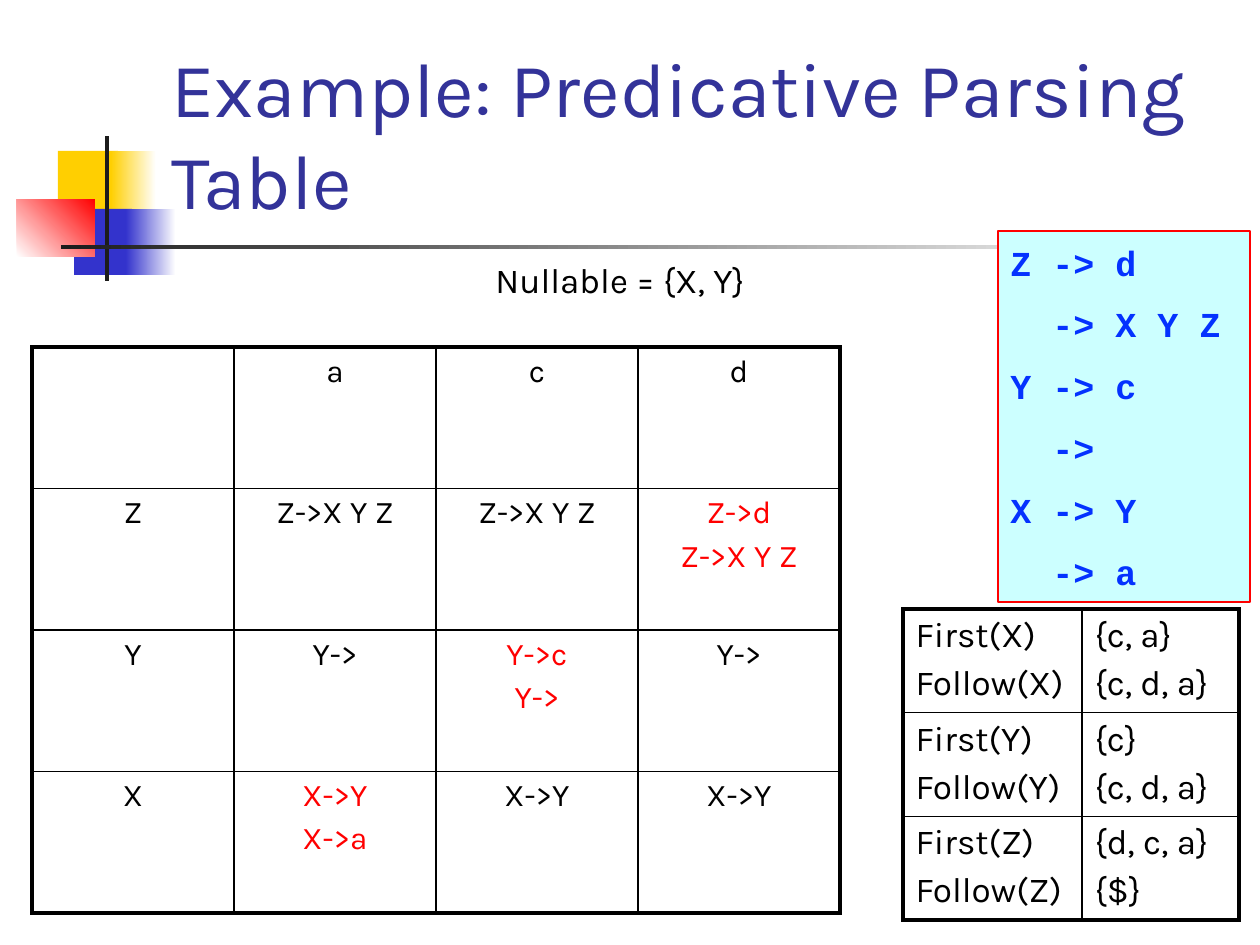
from lxml import etree
from pptx import Presentation
from pptx.dml.color import RGBColor
from pptx.enum.shapes import MSO_SHAPE
from pptx.enum.text import MSO_ANCHOR, PP_ALIGN
from pptx.oxml.ns import qn
from pptx.util import Pt

RECTANGLE = MSO_SHAPE.RECTANGLE
TOP, MIDDLE, BOTTOM = MSO_ANCHOR.TOP, MSO_ANCHOR.MIDDLE, MSO_ANCHOR.BOTTOM
LEFT, CENTER = PP_ALIGN.LEFT, PP_ALIGN.CENTER
EMU_PER_PX = 914400 / 126
THIN, THICK = Pt(1), Pt(2.25)
COLORS = {
    "white": "FFFFFF", "black": "000000", "charcoal": "1C1C1C",
    "yellow": "FFCF01", "blue": "3333CC", "red": "FF0000",
    "title": "333399", "code": "0432FF", "code_back": "CCFFFF",
}


def px(*lengths):
    """Turn px lengths into EMU."""
    return [round(length * EMU_PER_PX) for length in lengths]


def write(frame, text, size=20, color="black", font="Karla", bold=False,
          align=LEFT, gap=0, anchor=TOP):
    """Fill a text frame, one paragraph a line, with gap points between them."""
    frame.word_wrap = True
    frame.vertical_anchor = anchor
    for index, line in enumerate(text.split("\n")):
        paragraph = frame.add_paragraph() if index else frame.paragraphs[0]
        paragraph.alignment = align
        paragraph.space_before = Pt(gap if index else 0)
        run = paragraph.add_run()
        run.text = line
        run.font.name = font
        run.font.size = Pt(size)
        run.font.bold = bold
        run.font.color.rgb = RGBColor.from_string(COLORS[color])


prs = Presentation()
prs.slide_width, prs.slide_height = px(1260, 945)
slide = prs.slides.add_slide(prs.slide_layouts[6])
shapes = slide.shapes

# Corner ornament: box, start colour, end colour (None for solid), angle
ornament = [
    ((58, 151, 60, 66), "yellow", None, 0),
    ((111, 151, 45, 66), "yellow", "white", 0),
    ((74, 209, 58, 66), "blue", None, 0),
    ((126, 209, 50, 66), "blue", "white", 0),
    ((17, 199, 78, 58), "white", "red", 45),
    ((105, 136, 4, 145), "charcoal", None, 0),
    ((61, 245, 1134, 4), "charcoal", "white", 0),
]
for box, start, end, angle in ornament:
    block = shapes.add_shape(RECTANGLE, *px(*box))
    block.shadow.inherit = False
    block.line.fill.background()
    if end:
        block.fill.gradient()
        block.fill.gradient_angle = angle
        for stop, color in zip(block.fill.gradient_stops, (start, end)):
            stop.color.rgb = RGBColor.from_string(COLORS[color])
    else:
        block.fill.solid()
        block.fill.fore_color.rgb = RGBColor.from_string(COLORS[start])

title = shapes.add_textbox(*px(159, 29, 1074, 202))
write(title.text_frame, "Example: Predicative Parsing Table", size=44,
      color="title", anchor=BOTTOM)

grammar = shapes.add_shape(RECTANGLE, *px(998, 231, 252, 371))
grammar.shadow.inherit = False
grammar.fill.solid()
grammar.fill.fore_color.rgb = RGBColor.from_string(COLORS["code_back"])
grammar.line.color.rgb = RGBColor.from_string(COLORS["red"])
grammar.line.width = Pt(0.75)
write(grammar.text_frame, "Z -> d\n  -> X Y Z\nY -> c\n  ->\nX -> Y\n  -> a",
      color="code", font="Courier New", bold=True, gap=11.3, anchor=MIDDLE)

nullable = shapes.add_textbox(*px(483, 252, 483, 54))
write(nullable.text_frame, "Nullable = {X, Y}")

first_follow = [
    ["First(X)\nFollow(X)", "{c, a}\n{c, d, a}"],
    ["First(Y)\nFollow(Y)", "{c}\n{c, d, a}"],
    ["First(Z)\nFollow(Z)", "{d, c, a}\n{$}"],
]
parsing = [
    ["", "a", "c", "d"],
    ["Z", "Z->X Y Z", "Z->X Y Z", "Z->d\nZ->X Y Z"],
    ["Y", "Y->", "Y->c\nY->", "Y->"],
    ["X", "X->Y\nX->a", "X->Y", "X->Y"],
]
# Box, column widths, rows, text format, colour of cells with two entries
tables = [
    ((903, 609, 336, 304), (179, 157), first_follow,
     {"size": 20, "gap": 4}, "black"),
    ((32, 347, 808, 566), (202,) * 4, parsing,
     {"size": 18, "gap": 3.6, "align": CENTER}, "red"),
]
for box, widths, rows, text_format, double_color in tables:
    table = shapes.add_table(len(rows), len(widths), *px(*box)).table
    table.first_row = table.horz_banding = False
    for column, width in zip(table.columns, px(*widths)):
        column.width = width
    for r, row in enumerate(rows):
        for c, text in enumerate(row):
            cell = table.cell(r, c)
            write(cell.text_frame, text, **text_format,
                  color=double_color if "\n" in text else "black")
            outer_edges = {
                "a:lnL": c == 0, "a:lnR": c == len(widths) - 1,
                "a:lnT": r == 0, "a:lnB": r == len(rows) - 1,
            }
            properties = cell._tc.get_or_add_tcPr()
            for edge, is_outer in outer_edges.items():
                border = etree.SubElement(properties, qn(edge),
                                          w=str(THICK if is_outer else THIN))
                ink = etree.SubElement(border, qn("a:solidFill"))
                etree.SubElement(ink, qn("a:srgbClr"), val=COLORS["black"])
            cell.fill.background()

prs.save("out.pptx")
